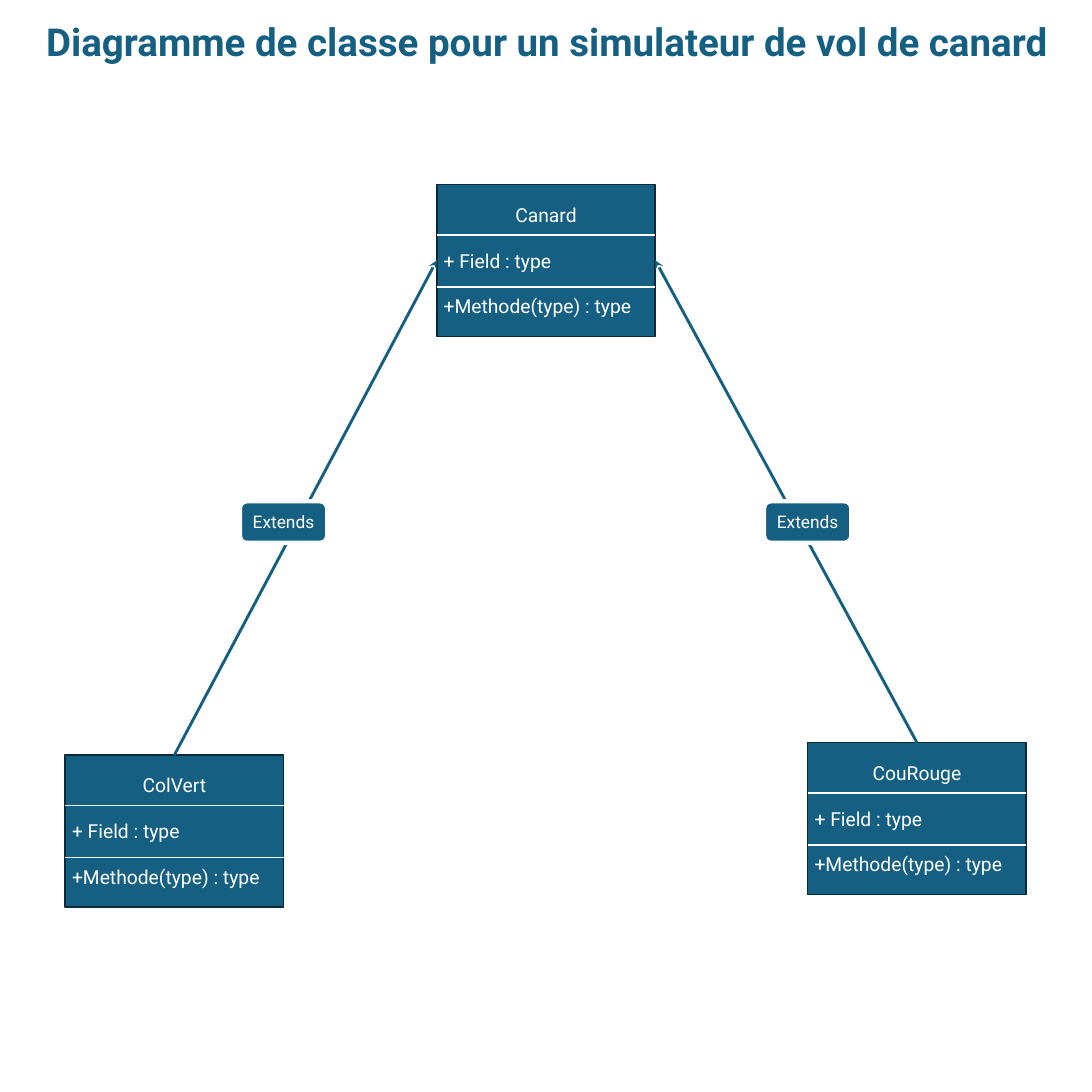
from lxml import etree
from pptx import Presentation
from pptx.dml.color import RGBColor
from pptx.enum import shapes, text
from pptx.oxml import ns
from pptx.util import Inches, Pt

BLUE = RGBColor(0x15, 0x60, 0x82)
NAVY = RGBColor(0x09, 0x2A, 0x39)
WHITE = RGBColor(0xFF, 0xFF, 0xFF)
FONT = "Roboto"
SIDE = 15.75
CLASS_W, CLASS_H = 3.15, 2.19
TAG_W, TAG_H = 1.26, 0.6
TOP, LEFT, RIGHT = 0, 1, 3


def style(frame, size, color, bold=False):
    """Format every run of a text frame."""
    for para in frame.paragraphs:
        for run in para.runs:
            font = run.font
            font.name, font.size, font.bold = FONT, Pt(size), bold
            font.color.rgb = color


def add_box(slide, kind, box, edge, width, lines, size):
    """Draw a filled shape whose first line of text is centred."""
    shape = slide.shapes.add_shape(kind, *map(Inches, box))
    shape.shadow.inherit = False
    shape.fill.solid()
    shape.fill.fore_color.rgb = BLUE
    shape.line.color.rgb = edge
    shape.line.width = Pt(width)
    frame = shape.text_frame
    frame.text = "\n".join(lines)
    frame.vertical_anchor = text.MSO_ANCHOR.MIDDLE
    for para in frame.paragraphs:
        para.alignment = text.PP_ALIGN.LEFT
    frame.paragraphs[0].alignment = text.PP_ALIGN.CENTER
    style(frame, size, WHITE)
    return shape


def add_line(slide, start, end, color, width):
    """Draw a straight line without a shadow."""
    line = slide.shapes.add_connector(
        shapes.MSO_CONNECTOR.STRAIGHT, *map(Inches, (*start, *end)))
    line.line.color.rgb = color
    line.line.width = Pt(width)
    etree.SubElement(line._element.spPr, ns.qn("a:effectLst"))
    return line


def add_class(slide, name, left, top):
    """Draw a class with its name, field and method sections."""
    lines = [name, "+ Field : type", "+Methode(type) : type"]
    box = left, top, CLASS_W, CLASS_H
    shape = add_box(slide, shapes.MSO_SHAPE.RECTANGLE, box, NAVY, 1.5, lines, 20)
    for para in shape.text_frame.paragraphs[1:]:
        para.space_before = Pt(23.5)
    for drop in (0.73, 1.48):
        y = top + drop
        add_line(slide, (left, y), (left + CLASS_W, y), WHITE, 1.5)
    return shape


def add_link(slide, child, base, side):
    """Draw an arrow from the top of a child to one side of its base."""
    link = add_line(slide, (0, 0), (1, 1), BLUE, 3)
    link.begin_connect(child, TOP)
    link.end_connect(base, side)
    etree.SubElement(link.line._get_or_add_ln(), ns.qn("a:tailEnd"), type="stealth")


def add_tag(slide, left, top):
    """Draw the label of an arrow."""
    box = left, top, TAG_W, TAG_H
    add_box(slide, shapes.MSO_SHAPE.ROUNDED_RECTANGLE, box, WHITE, 4.5, ["Extends"], 18)


def add_title(slide, words, left, top, width, height):
    """Place and format the slide title."""
    title = slide.shapes.title
    title.left, title.top, title.width, title.height = map(
        Inches, (left, top, width, height))
    frame = title.text_frame
    frame.text = words
    frame.word_wrap = True
    frame.auto_size = text.MSO_AUTO_SIZE.NONE
    frame.vertical_anchor = text.MSO_ANCHOR.TOP
    frame.paragraphs[0].alignment = text.PP_ALIGN.CENTER
    style(frame, 40, BLUE, True)


def main():
    """Build the class diagram."""
    deck = Presentation()
    deck.slide_width = deck.slide_height = Inches(SIDE)
    slide = deck.slides.add_slide(deck.slide_layouts[5])
    add_title(slide, "Diagramme de classe pour un simulateur de vol de canard",
              0.28, 0.21, 15.21, 0.77)
    base = add_class(slide, "Canard", (SIDE - CLASS_W) / 2, 2.66)
    green = add_class(slide, "ColVert", 0.94, 10.89)
    red = add_class(slide, "CouRouge", 11.65, 10.71)
    add_link(slide, green, base, LEFT)
    add_link(slide, red, base, RIGHT)
    for left in (3.46, 11.02):
        add_tag(slide, left, 7.23)
    deck.save("out.pptx")


if __name__ == "__main__":
    main()
